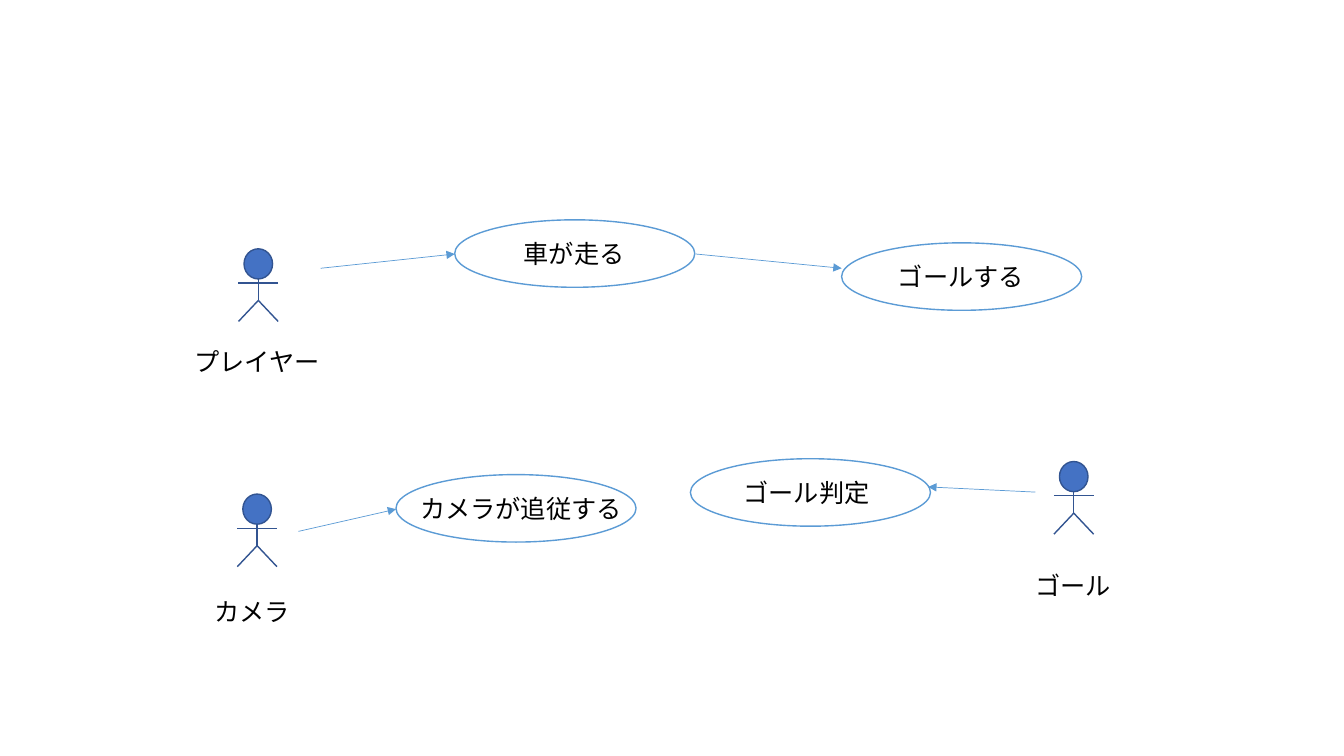
from lxml.etree import SubElement
from pptx import Presentation
from pptx.dml.color import RGBColor
from pptx.enum.shapes import MSO_CONNECTOR, MSO_SHAPE
from pptx.enum.text import MSO_AUTO_SIZE, PP_ALIGN
from pptx.oxml.ns import qn
from pptx.util import Cm, Pt

COLORS = {"paper": "FFFFFF", "ink": "000000", "head": "4472C4",
          "body": "325491", "use_case": "5B9BD5"}
FONT = "Noto Sans CJK JP"
HEAD_W, HEAD_H = 0.72, 0.76
OVAL_W, OVAL_H = 6.05, 1.7
TEXT_H = 1.02

ACTORS = [
    ("プレイヤー", 6.15, 6.27, (4.52, 8.59, 3.91)),
    ("カメラ", 6.12, 12.45, (4.67, 14.91, 3.38)),
    ("ゴール", 26.7, 11.63, (25.35, 14.25, 3.38)),
]
USE_CASES = [
    ("車が走る", 11.46, 5.54, 1.49, 3.07),
    ("ゴールする", 21.21, 6.12, 1.17, 3.71),
    ("カメラが追従する", 9.98, 11.96, 0.36, 5.64),
    ("ゴール判定", 17.4, 11.56, 1.09, 3.71),
]
ARROWS = [
    (8.08, 6.76, 11.46, 6.4),
    (17.53, 6.4, 21.21, 6.76),
    (7.52, 13.39, 9.98, 12.83),
    (26.09, 12.4, 23.39, 12.27),
]


def rgb(name):
    return RGBColor.from_string(COLORS[name])


def add_oval(shapes, x, y, w, h, fill, line):
    sp = shapes.add_shape(MSO_SHAPE.OVAL, Cm(x), Cm(y), Cm(w), Cm(h))
    sp.shadow.inherit = False
    sp.fill.solid()
    sp.fill.fore_color.rgb = rgb(fill)
    sp.line.color.rgb = rgb(line)
    sp.line.width = Pt(1)


def add_line(shapes, x1, y1, x2, y2, color, width):
    line = shapes.add_connector(MSO_CONNECTOR.STRAIGHT, Cm(x1), Cm(y1), Cm(x2), Cm(y2))
    line.line.color.rgb = rgb(color)
    line.line.width = Pt(width)
    SubElement(line._element.spPr, qn("a:effectLst"))
    return line


def add_text(shapes, text, x, y, w, wrap, align):
    tf = shapes.add_textbox(Cm(x), Cm(y), Cm(w), Cm(TEXT_H)).text_frame
    tf.word_wrap = wrap
    tf.auto_size = MSO_AUTO_SIZE.SHAPE_TO_FIT_TEXT
    tf.text = text
    p = tf.paragraphs[0]
    p.alignment = align
    r = p.runs[0]
    r.font.size = Pt(18)
    r.font.name = FONT
    r.font.color.rgb = rgb("ink")
    SubElement(r._r.get_or_add_rPr(), qn("a:ea")).set("typeface", FONT)


def add_actor(shapes, name, x, y, label_box):
    figure = shapes.add_group_shape().shapes
    add_oval(figure, x, y, HEAD_W, HEAD_H, "head", "body")
    mid, reach = x + HEAD_W / 2, 0.5
    neck, arms, hip, feet = (y + dy for dy in (HEAD_H, 0.86, 1.3, 1.83))
    add_line(figure, mid, neck, mid, hip, "body", 1)
    for side in (-reach, reach):
        add_line(figure, mid + side, feet, mid, hip, "body", 1)
        add_line(figure, mid + side, arms, mid, arms, "body", 1)
    add_text(shapes, name, *label_box, True, PP_ALIGN.CENTER)


def add_use_case(shapes, name, x, y, text_dx, text_w):
    add_oval(shapes, x, y, OVAL_W, OVAL_H, "paper", "use_case")
    add_text(shapes, name, x + text_dx, y + 0.35, text_w, False, PP_ALIGN.LEFT)


def add_arrow(shapes, x1, y1, x2, y2):
    arrow = add_line(shapes, x1, y1, x2, y2, "use_case", 0.5)
    ln = arrow.line._get_or_add_ln()
    SubElement(ln, qn("a:tailEnd")).set("type", "triangle")


def add_use_case_diagram(s):
    for use_case in USE_CASES:
        add_use_case(s.shapes, *use_case)
    for actor in ACTORS:
        add_actor(s.shapes, *actor)
    for arrow in ARROWS:
        add_arrow(s.shapes, *arrow)


prs = Presentation()
prs.slide_width, prs.slide_height = Cm(33.87), Cm(19.05)
s = prs.slides.add_slide(prs.slide_layouts[6])
add_use_case_diagram(s)
prs.save("out.pptx")
